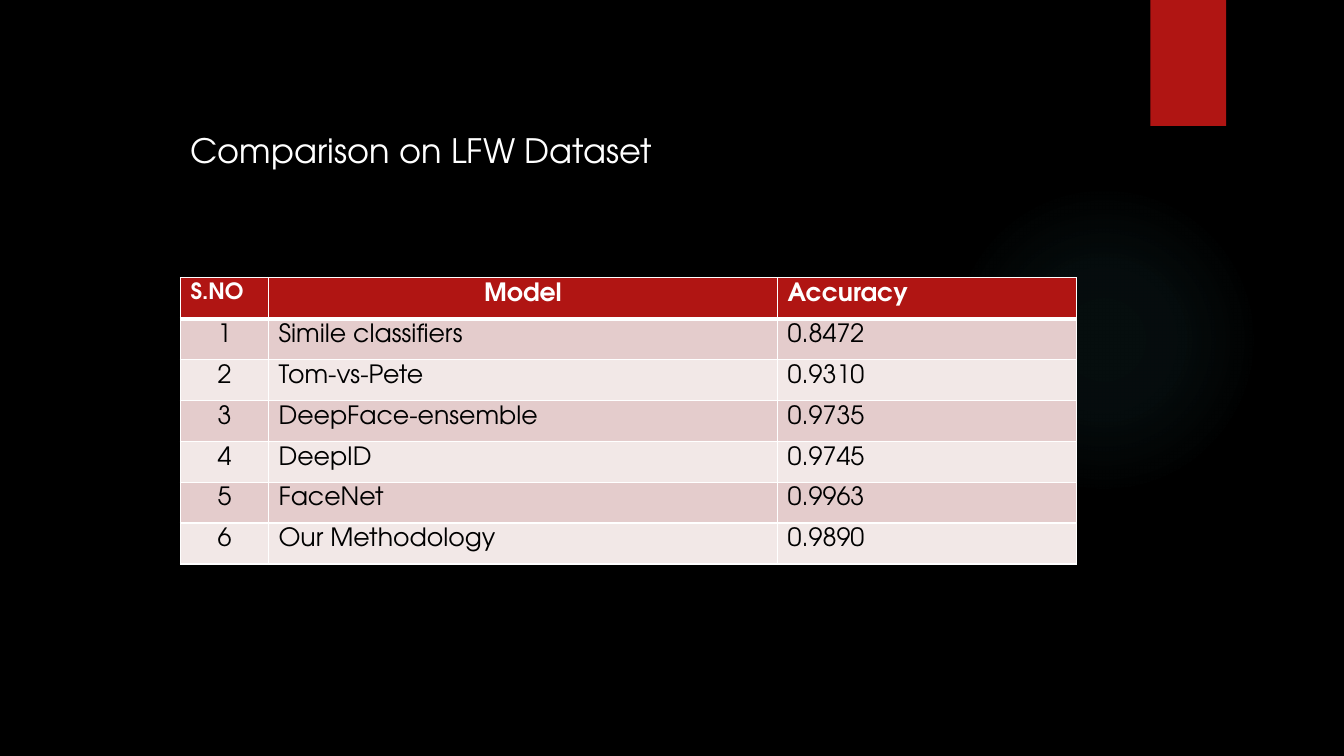
from lxml.etree import SubElement
from pptx import Presentation
from pptx.dml.color import RGBColor
from pptx.enum.shapes import MSO_SHAPE
from pptx.enum.text import MSO_ANCHOR, MSO_AUTO_SIZE, PP_ALIGN
from pptx.oxml import parse_xml
from pptx.oxml.ns import nsdecls, qn
from pptx.util import Inches, Pt

WIDTH, HEIGHT = Inches(13.333), Inches(7.5)
FONT = "TeX Gyre Adventor"
BLACK = RGBColor(0x00, 0x00, 0x00)
WHITE = RGBColor(0xFF, 0xFF, 0xFF)
RED = RGBColor(0xB0, 0x15, 0x13)
TEAL = RGBColor(0x50, 0xB9, 0xC1)
DARK_BAND = RGBColor(0xE4, 0xCC, 0xCC)
LIGHT_BAND = RGBColor(0xF2, 0xE8, 0xE7)

LEFT_EDGE = 13.43
COLUMN_SHARES = (6.55, 37.88, 22.25)
ROW_SHARE = 5.41
GLOW_STOPS = ((0, 7), (36, 6), (69, 0))
HEADINGS = ("S.NO", "Model", "Accuracy")
RESULTS = (
    ("Simile classifiers", "0.8472"),
    ("Tom-vs-Pete", "0.9310"),
    ("DeepFace-ensemble", "0.9735"),
    ("DeepID", "0.9745"),
    ("FaceNet", "0.9963"),
    ("Our Methodology", "0.9890"),
)


def across(percent):
    return round(WIDTH * percent / 100)


def down(percent):
    return round(HEIGHT * percent / 100)


def box(left, top, width, height):
    return across(left), down(top), across(width), down(height)


def apply(target, values):
    for name, value in values.items():
        setattr(target, name, value)


def write(paragraph, text, size, color, bold=False, alignment=PP_ALIGN.LEFT):
    paragraph.alignment = alignment
    run = paragraph.add_run()
    run.text = text
    apply(run.font, {"name": FONT, "size": Pt(size), "bold": bold})
    run.font.color.rgb = color


def add_plain_shape(slide, kind, place, color):
    shape = slide.shapes.add_shape(kind, *place)
    shape.shadow.inherit = False
    shape.fill.solid()
    shape.fill.fore_color.rgb = color
    shape.line.fill.background()
    return shape


def add_glow(slide, place):
    shape = add_plain_shape(slide, MSO_SHAPE.OVAL, place, TEAL)
    stops = "".join(
        f'<a:gs pos="{position * 1000}"><a:srgbClr val="{TEAL}">'
        f'<a:alpha val="{opacity * 1000}"/></a:srgbClr></a:gs>'
        for position, opacity in GLOW_STOPS
    )
    gradient = parse_xml(
        f'<a:gradFill {nsdecls("a")} rotWithShape="1"><a:gsLst>{stops}</a:gsLst>'
        '<a:path path="circle"><a:fillToRect l="50000" t="50000" r="50000" b="50000"/>'
        "</a:path></a:gradFill>"
    )
    properties = shape.element.spPr
    properties.replace(properties.find(qn("a:solidFill")), gradient)


def add_title(slide, text, place):
    title = slide.shapes.title
    apply(title, dict(zip(("left", "top", "width", "height"), place)))
    apply(title.text_frame, {
        "word_wrap": False,
        "auto_size": MSO_AUTO_SIZE.SHAPE_TO_FIT_TEXT,
        "vertical_anchor": MSO_ANCHOR.TOP,
    })
    paragraph = title.text_frame.paragraphs[0]
    paragraph.line_spacing = 1.0
    write(paragraph, text, 24, WHITE)


def set_borders(cell, widths):
    properties = cell._tc.get_or_add_tcPr()
    for index, (side, width) in enumerate(widths.items()):
        line = SubElement(properties, qn(f"a:ln{side}"), w=str(Pt(width)))
        fill = SubElement(line, qn("a:solidFill"))
        SubElement(fill, qn("a:srgbClr"), val=str(WHITE))
        properties.insert(index, line)


def format_cell(cell, text, row, column):
    header = row == 0
    centred = column == (1 if header else 0)
    cell.fill.solid()
    cell.fill.fore_color.rgb = RED if header else DARK_BAND if row % 2 else LIGHT_BAND
    apply(cell, {
        "margin_left": Inches(0.1),
        "margin_right": Inches(0.1),
        "margin_top": Inches(0.05),
        "margin_bottom": Inches(0.05),
        "vertical_anchor": MSO_ANCHOR.TOP,
    })
    set_borders(cell, {"L": 1, "R": 1, "T": 1, "B": 3 if header else 1})
    write(
        cell.text_frame.paragraphs[0],
        text,
        size=16 if header and column == 0 else 18,
        color=WHITE if header else BLACK,
        bold=header,
        alignment=PP_ALIGN.CENTER if centred else PP_ALIGN.LEFT,
    )


def add_results_table(slide, top):
    rows = [HEADINGS] + [(str(number), *result) for number, result in enumerate(RESULTS, 1)]
    place = box(LEFT_EDGE, top, sum(COLUMN_SHARES), ROW_SHARE * len(rows))
    table = slide.shapes.add_table(len(rows), len(HEADINGS), *place).table
    for column, share in zip(table.columns, COLUMN_SHARES):
        column.width = across(share)
    for row, texts in enumerate(rows):
        table.rows[row].height = down(ROW_SHARE)
        for column, text in enumerate(texts):
            format_cell(table.cell(row, column), text, row, column)


def main():
    presentation = Presentation()
    apply(presentation, {"slide_width": WIDTH, "slide_height": HEIGHT})
    slide = presentation.slides.add_slide(presentation.slide_layouts[5])
    slide.background.fill.solid()
    slide.background.fill.fore_color.rgb = BLACK
    add_glow(slide, box(70.58, 24.4, 23.1, 41.07))
    add_plain_shape(slide, MSO_SHAPE.RECTANGLE, box(85.6, 0, 5.63, 16.67), RED)
    add_title(slide, "Comparison on LFW Dataset", box(LEFT_EDGE, 16.53, 36.75, 6.67))
    add_results_table(slide, 36.75)
    presentation.save("out.pptx")


if __name__ == "__main__":
    main()
